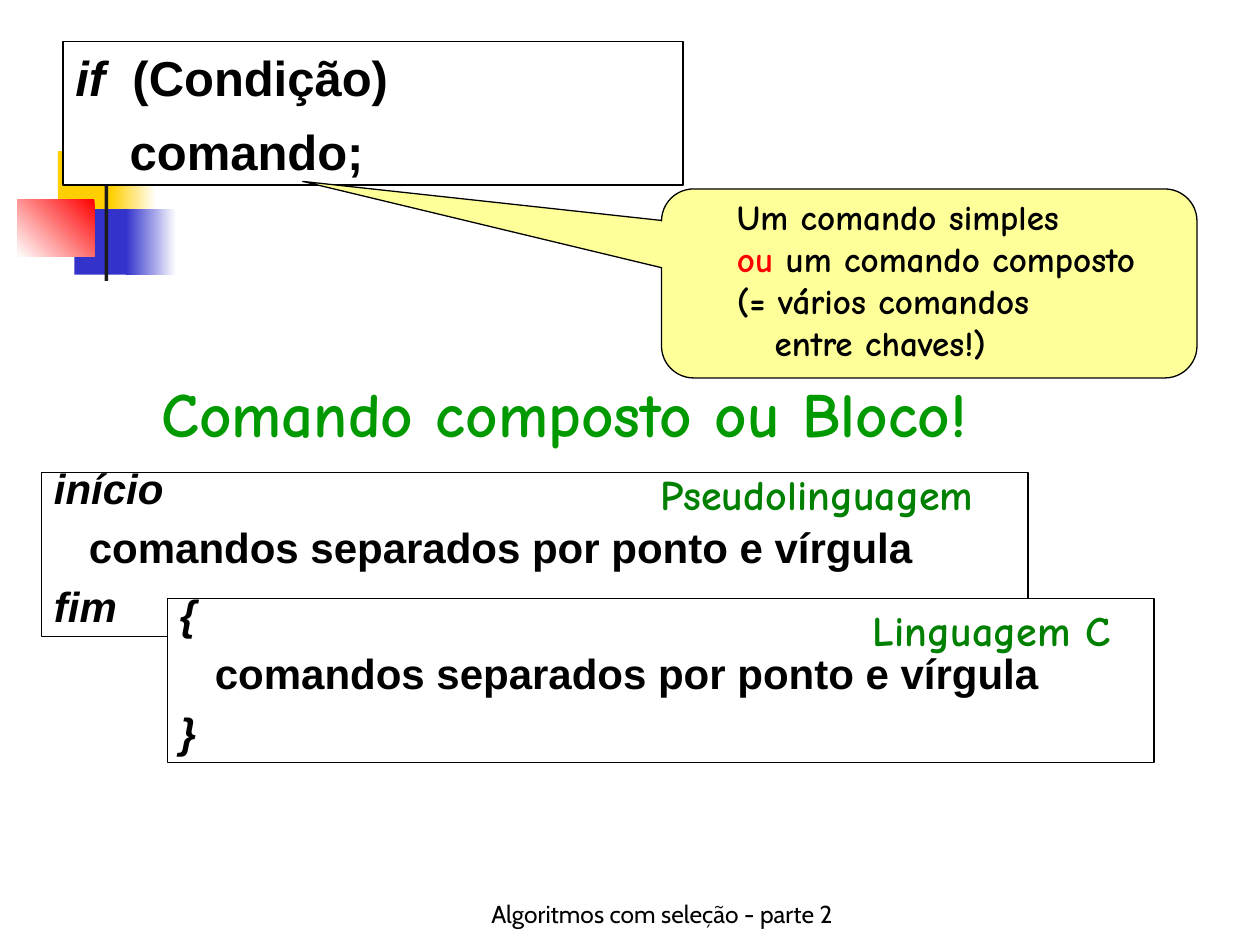
import dataclasses
import typing

import pptx
import pptx.dml.color
import pptx.enum.shapes
import pptx.enum.text
import pptx.util

PX = 9144  # 100 px to the inch
BLACK, WHITE = "000000", "FFFFFF"
YELLOW, BLUE, RED = "FFCF01", "3333CC", "FF0000"
SHAPE = pptx.enum.shapes.MSO_SHAPE


class Box(typing.NamedTuple):
    left: int
    top: int
    width: int
    height: int


@dataclasses.dataclass
class Span:
    text: str
    italic: bool = False
    color: str = BLACK


@dataclasses.dataclass
class Line:
    spans: list[Span]
    before: float = 0
    spacing: float = 1.0
    indent: int = 0


@dataclasses.dataclass
class Style:
    size: int
    font: str
    bold: bool = True


@dataclasses.dataclass
class Ornament:
    box: Box
    start: str
    end: str = ""
    angle: int = 0


def rgb(color: str) -> pptx.dml.color.RGBColor:
    return pptx.dml.color.RGBColor.from_string(color)


def emu(box: Box) -> list[int]:
    return [length * PX for length in box]


def write(shape, lines: list[Line], style: Style, wrap: bool = True) -> None:
    frame = shape.text_frame
    frame.word_wrap = wrap
    frame.auto_size = pptx.enum.text.MSO_AUTO_SIZE.NONE
    frame.vertical_anchor = pptx.enum.text.MSO_ANCHOR.TOP
    for number, line in enumerate(lines):
        paragraph = frame.add_paragraph() if number else frame.paragraphs[0]
        paragraph.alignment = pptx.enum.text.PP_ALIGN.LEFT
        paragraph.space_before = pptx.util.Pt(line.before)
        paragraph.line_spacing = line.spacing
        if line.indent:
            paragraph._p.get_or_add_pPr().set("marL", str(line.indent * PX))
        for span in line.spans:
            run = paragraph.add_run()
            run.text = span.text
            run.font.size = pptx.util.Pt(style.size)
            run.font.name = style.font
            run.font.bold = style.bold
            run.font.italic = span.italic
            run.font.color.rgb = rgb(span.color)


def draw_ornament(slide, ornament: Ornament) -> None:
    block = slide.shapes.add_shape(SHAPE.RECTANGLE, *emu(ornament.box))
    block.shadow.inherit = False
    block.line.fill.background()
    if ornament.end:
        block.fill.gradient()
        block.fill.gradient_angle = ornament.angle
        for stop, color in zip(block.fill.gradient_stops, (ornament.start, ornament.end)):
            stop.color.rgb = rgb(color)
    else:
        block.fill.solid()
        block.fill.fore_color.rgb = rgb(ornament.start)


def add_panel(slide, kind, box: Box, fill: str):
    """Add a filled shape with a thin black outline."""
    panel = slide.shapes.add_shape(kind, *emu(box))
    panel.shadow.inherit = False
    panel.fill.solid()
    panel.fill.fore_color.rgb = rgb(fill)
    panel.line.color.rgb = rgb(BLACK)
    panel.line.width = pptx.util.Pt(0.75)
    return panel


def add_text(slide, box: Box, lines: list[Line], style: Style, wrap: bool = True):
    label = slide.shapes.add_textbox(*emu(box))
    write(label, lines, style, wrap)
    return label


def draw_block(slide, box: Box, opening: str, closing: str) -> None:
    """Draw a compound command between its opening and closing marks."""
    body = "   comandos separados por ponto e vírgula"
    lines = [
        Line([Span(opening, italic=True)], spacing=0.65),
        Line([Span(body)], before=15, spacing=0.65),
        Line([Span(closing, italic=True)], before=15, spacing=0.65),
    ]
    write(add_panel(slide, SHAPE.RECTANGLE, box, WHITE), lines, Style(24, "Arial"))


ORNAMENTS = [
    Ornament(Box(46, 120, 48, 52), YELLOW),
    Ornament(Box(88, 120, 36, 52), WHITE, YELLOW, 180),
    Ornament(Box(59, 166, 46, 52), BLUE),
    Ornament(Box(100, 166, 40, 52), WHITE, BLUE, 180),
    Ornament(Box(14, 158, 61, 46), RED, WHITE, 225),
    Ornament(Box(83, 108, 3, 115), "1C1C1C"),
]


def main() -> None:
    deck = pptx.Presentation()
    deck.slide_width, deck.slide_height = 1000 * PX, 750 * PX
    slide = deck.slides.add_slide(deck.slide_layouts[5])

    for ornament in ORNAMENTS:
        draw_ornament(slide, ornament)

    condition = add_panel(slide, SHAPE.RECTANGLE, Box(50, 33, 492, 114), WHITE)
    write(condition, [
        Line([Span("if  ", italic=True), Span("(Condição)")]),
        Line([Span("    comando;")], before=17.5, spacing=0.7),
    ], Style(28, "Arial"))

    title = slide.shapes.title
    title.left, title.top, title.width, title.height = emu(Box(118, 292, 660, 70))
    write(title, [Line([Span("Comando composto ou Bloco!", color="009900")])],
          Style(36, "Comic Neue"), wrap=False)

    draw_block(slide, Box(33, 375, 783, 130), "início", "fim")
    draw_block(slide, Box(133, 475, 783, 130), "{", "}")
    for language, box in (("Pseudolinguagem", Box(514, 367, 268, 50)),
                          ("Linguagem C", Box(683, 475, 225, 50))):
        add_text(slide, box, [Line([Span(language, color="008000")])],
                 Style(24, "Comic Neue"), wrap=False)

    callout = add_panel(slide, SHAPE.ROUNDED_RECTANGULAR_CALLOUT,
                        Box(525, 150, 425, 150), "FFFF99")
    for number, value in enumerate((-1.17, -0.54, 0.17)):
        callout.adjustments[number] = value
    add_text(slide, Box(575, 150, 358, 144), [
        Line([Span("Um comando simples")]),
        Line([Span("ou", color=RED), Span(" um comando composto")]),
        Line([Span("(= vários comandos")]),
        Line([Span("entre chaves!)")], indent=30),
    ], Style(20, "Comic Neue"))

    footer = add_text(slide, Box(367, 692, 317, 50),
                      [Line([Span("Algoritmos com seleção - parte 2")])],
                      Style(14, "Cabin", bold=False))
    footer.text_frame.vertical_anchor = pptx.enum.text.MSO_ANCHOR.BOTTOM
    footer.text_frame.paragraphs[0].alignment = pptx.enum.text.PP_ALIGN.CENTER

    deck.save("out.pptx")


if __name__ == "__main__":
    main()
